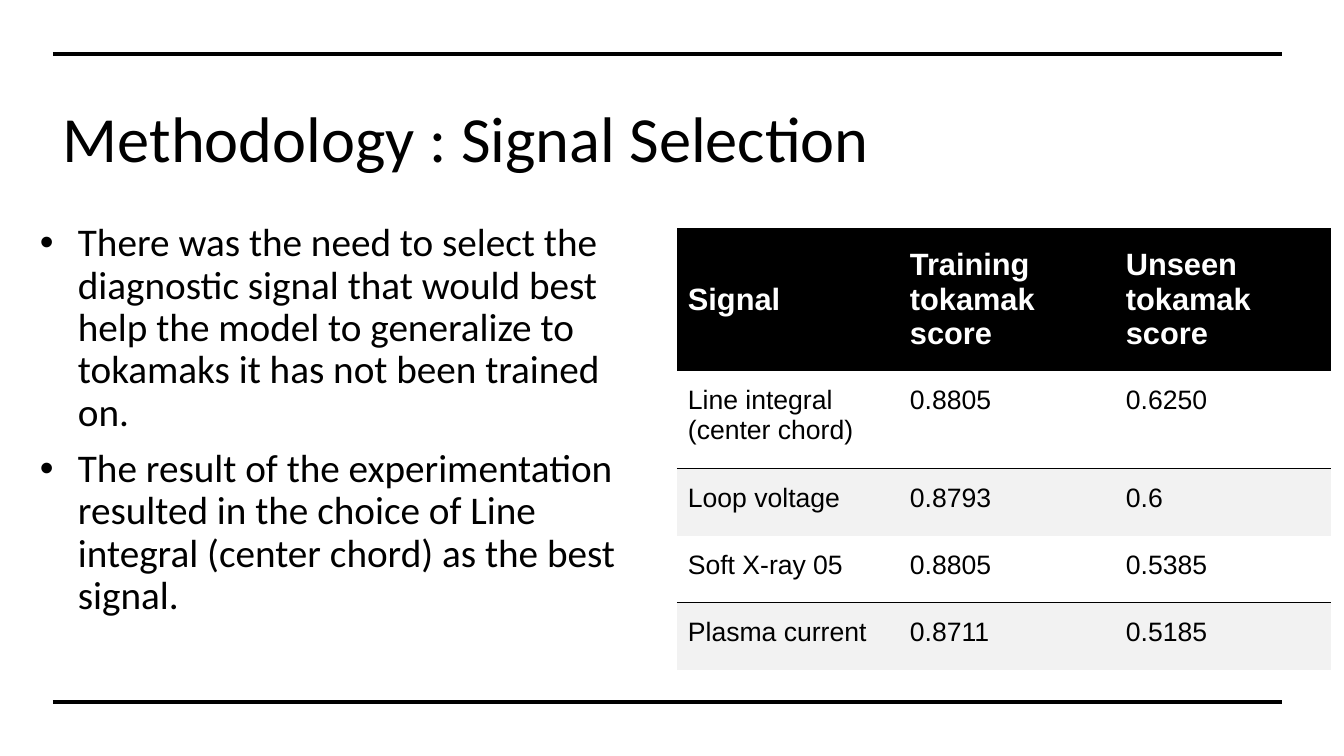
import lxml.etree
import pptx
import pptx.dml.color
import pptx.enum.shapes
import pptx.enum.text
import pptx.oxml.ns
import pptx.util

SCALE = 914400 / 100.8
BLACK = pptx.dml.color.RGBColor(0x00, 0x00, 0x00)
WHITE = pptx.dml.color.RGBColor(0xFF, 0xFF, 0xFF)
BAND_GRAY = pptx.dml.color.RGBColor(0xF2, 0xF2, 0xF2)
MIDDLE = pptx.enum.text.MSO_ANCHOR.MIDDLE
TOP = pptx.enum.text.MSO_ANCHOR.TOP
NO_STYLE_NO_GRID = "{2D5ABB26-0587-4C30-8999-92F81FD0307C}"

POINTS = [
    "There was the need to select the diagnostic signal that would best help "
    "the model to generalize to tokamaks it has not been trained on.",
    "The result of the experimentation resulted in the choice of Line integral "
    "(center chord) as the best signal.",
]
SCORES = [
    ["Signal", "Training tokamak score", "Unseen tokamak score"],
    ["Line integral (center chord)", "0.8805", "0.6250"],
    ["Loop voltage", "0.8793", "0.6"],
    ["Soft X-ray 05", "0.8805", "0.5385"],
    ["Plasma current", "0.8711", "0.5185"],
]
COLUMN_WIDTHS = [222, 216, 216]
ROW_HEIGHTS = [137, 98, 67, 67, 67]


def px(pixels):
    """Turn pixels into EMU."""
    return pptx.util.Emu(round(pixels * SCALE))


def add_child(parent, tag, **attributes):
    """Append a DrawingML element to a parent."""
    return lxml.etree.SubElement(parent, pptx.oxml.ns.qn(tag), attributes)


def set_font(paragraph, name, size, color, bold=False):
    """Set the font of a whole paragraph."""
    font = paragraph.font
    font.name = name
    font.size = pptx.util.Pt(size)
    font.bold = bold
    font.color.rgb = color


def add_text(slide, box, texts, size, anchor=TOP, bulleted=False):
    """Add a wrapped text box with one paragraph per text."""
    frame = slide.shapes.add_textbox(*map(px, box)).text_frame
    frame.word_wrap = True
    frame.vertical_anchor = anchor
    frame.text = "\n".join(texts)
    for paragraph in frame.paragraphs:
        paragraph.line_spacing = 0.9
        set_font(paragraph, "Calibri", size, BLACK)
        if bulleted:
            add_bullet(paragraph)


def add_bullet(paragraph):
    """Give a paragraph a hanging bullet and space before it."""
    paragraph.space_before = pptx.util.Pt(10)
    properties = paragraph._p.get_or_add_pPr()
    properties.set("marL", str(px(38)))
    properties.set("indent", str(px(-38)))
    add_child(properties, "a:buFont", typeface="Arial")
    add_child(properties, "a:buChar", char="•")


def add_rule(slide, y):
    """Add a horizontal rule between the slide margins."""
    rule = slide.shapes.add_connector(
        pptx.enum.shapes.MSO_CONNECTOR.STRAIGHT, px(53), px(y), px(1282), px(y))
    rule.line.color.rgb = BLACK
    rule.line.width = pptx.util.Pt(2.25)
    add_child(rule._element.spPr, "a:effectLst")


def add_bottom_border(cell):
    """Draw a thin black line under a cell."""
    properties = cell._tc.get_or_add_tcPr()
    border = add_child(properties, "a:lnB", w=str(pptx.util.Pt(1)))
    fill = add_child(border, "a:solidFill")
    add_child(fill, "a:srgbClr", val=str(BLACK))
    properties.insert(0, border)


def fill_cell(cell, text, row):
    """Write and style one cell by its row."""
    header = row == 0
    cell.text = text
    cell.vertical_anchor = MIDDLE if header else TOP
    cell.margin_left, cell.margin_right = px(11), px(8)
    cell.margin_top, cell.margin_bottom = px(16 if header else 15), px(16)
    paragraph = cell.text_frame.paragraphs[0]
    set_font(paragraph, "Arial", 22 if header else 19,
             WHITE if header else BLACK, header)
    if header or row % 2 == 0:
        cell.fill.solid()
        cell.fill.fore_color.rgb = BLACK if header else BAND_GRAY
    else:
        cell.fill.background()
        add_bottom_border(cell)


def add_score_table(slide, left, top):
    """Add the table of signal scores."""
    frame = slide.shapes.add_table(
        len(SCORES), len(COLUMN_WIDTHS), px(left), px(top),
        px(sum(COLUMN_WIDTHS)), px(sum(ROW_HEIGHTS)))
    table = frame.table
    table.horz_banding = False
    style = table._tbl.tblPr.find(pptx.oxml.ns.qn("a:tableStyleId"))
    style.text = NO_STYLE_NO_GRID
    for column, width in zip(table.columns, COLUMN_WIDTHS):
        column.width = px(width)
    for row, (texts, height) in enumerate(zip(SCORES, ROW_HEIGHTS)):
        table.rows[row].height = px(height)
        for column, text in enumerate(texts):
            fill_cell(table.cell(row, column), text, row)


def main():
    """Build the slide and save it."""
    presentation = pptx.Presentation()
    presentation.slide_width = px(1344)
    presentation.slide_height = px(756)
    slide = presentation.slides.add_slide(presentation.slide_layouts[6])
    add_text(slide, (53, 66, 926, 152), ["Methodology : Signal Selection"],
             46, anchor=MIDDLE)
    add_text(slide, (30, 218, 623, 453), POINTS, 28, bulleted=True)
    for y in (54, 702):
        add_rule(slide, y)
    add_score_table(slide, 677, 228)
    presentation.save("out.pptx")


main()
